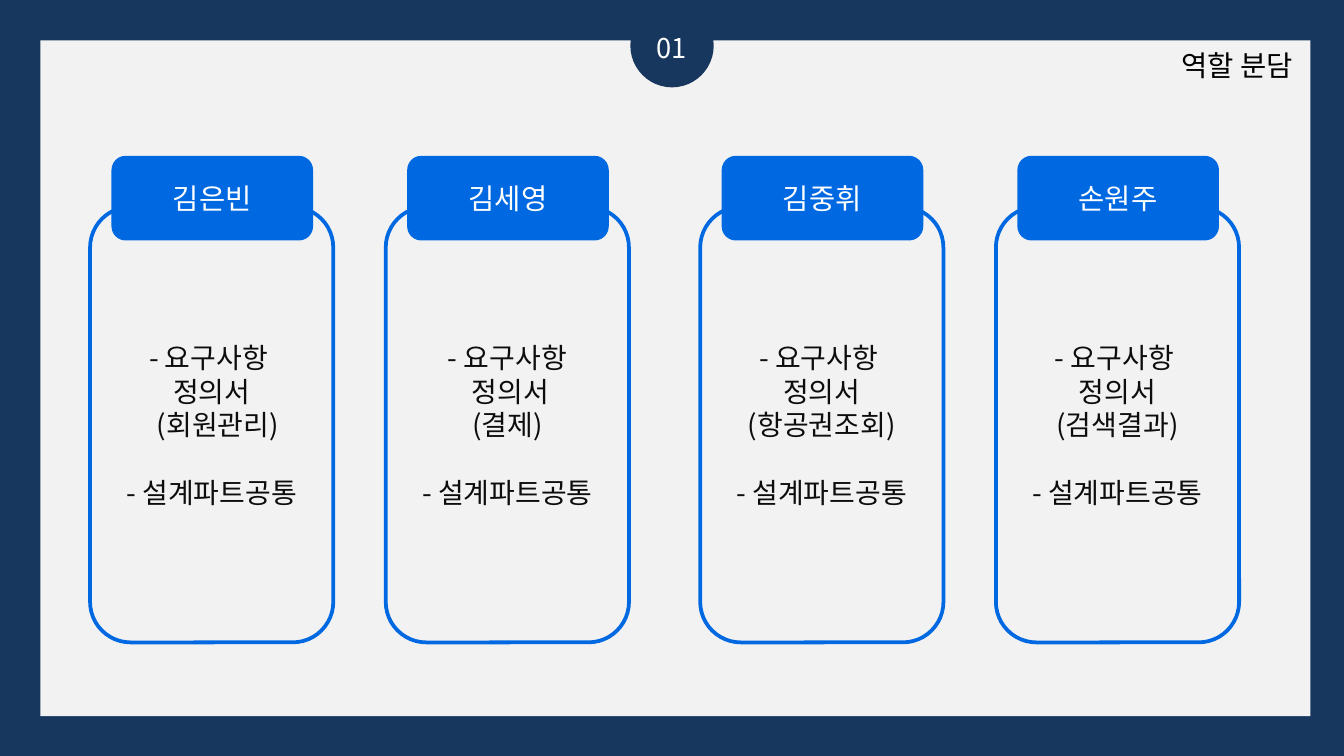
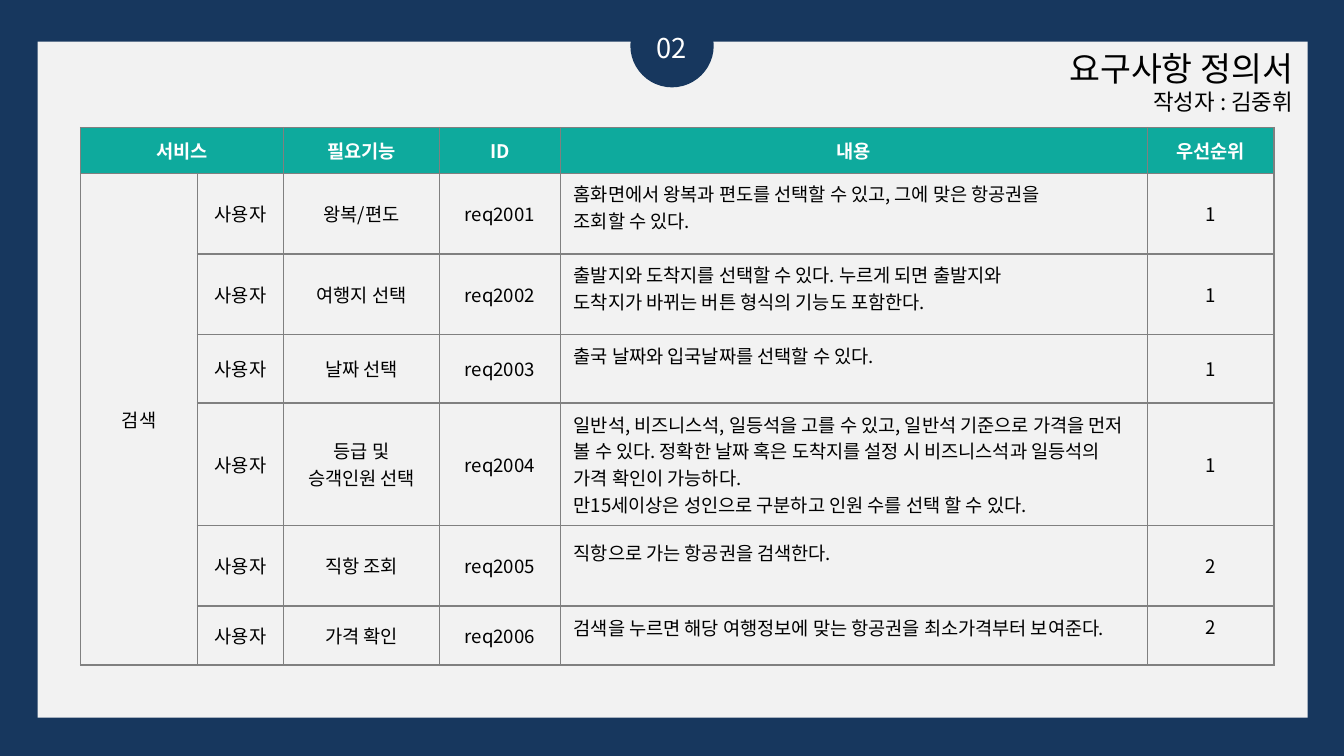
from pptx import Presentation
from pptx.dml.color import RGBColor
from pptx.enum.shapes import MSO_SHAPE
from pptx.enum.text import MSO_ANCHOR, MSO_AUTO_SIZE, PP_ALIGN
from pptx.oxml import parse_xml
from pptx.oxml.ns import nsdecls, qn
from pptx.util import Inches, Pt

FONT = "Noto Sans CJK KR"
NAVY, PAPER, BLUE, TEAL = "17375E", "F2F2F2", "0069E2", "0EAA9D"
WHITE, BLACK, INK, GRAY = "FFFFFF", "000000", "0D0D0D", "808080"
CENTER, RIGHT, LEFT = PP_ALIGN.CENTER, PP_ALIGN.RIGHT, PP_ALIGN.LEFT


def write(frame, lines, color, align=CENTER, bold=False):
    """Fill a text frame with (text, size) lines, one paragraph each."""
    frame.word_wrap = True
    for index, (text, size) in enumerate(lines):
        para = frame.paragraphs[0] if index == 0 else frame.add_paragraph()
        para.text = text
        para.alignment = align
        para.font.size = Pt(size)
        para.font.name = FONT
        para.font.bold = bold
        para.font.color.rgb = RGBColor.from_string(color)
        props = para._p.pPr.find(qn("a:defRPr"))
        props.find(qn("a:latin")).addnext(
            parse_xml(f'<a:ea {nsdecls("a")} typeface="{FONT}"/>'))


def add_box(page, kind, place, fill=None, line=None):
    box = page.shapes.add_shape(kind, *[Inches(n) for n in place])
    box.shadow.inherit = False
    if fill:
        box.fill.solid()
        box.fill.fore_color.rgb = RGBColor.from_string(fill)
    else:
        box.fill.background()
    if line:
        box.line.color.rgb = RGBColor.from_string(line)
        box.line.width = Pt(2)
    else:
        box.line.fill.background()
    box.text_frame.vertical_anchor = MSO_ANCHOR.MIDDLE
    return box


deck = Presentation()
deck.slide_width = Inches(10)
deck.slide_height = deck.slide_width * 9 // 16

# Frame, number badge and title of both slides
headings = [
    ("01", (0.3, 0.3), 0.36, [("역할 분담", 15.3)]),
    ("02", (0.28, 0.31), 0.61, [("요구사항 정의서", 18), ("작성자 : 김중휘", 12)]),
]
pages = []
for number, corner, title_height, title in headings:
    page = deck.slides.add_slide(deck.slide_layouts[6])
    page.background.fill.solid()
    page.background.fill.fore_color.rgb = RGBColor.from_string(NAVY)
    add_box(page, MSO_SHAPE.RECTANGLE, (*corner, 9.45, 5.03), PAPER)
    add_box(page, MSO_SHAPE.OVAL, (4.69, 0.03, 0.62, 0.62), NAVY)
    for place, lines, color, align in [
        ((4.64, 0.18, 0.72, 0.35), [(number, 14.6)], WHITE, CENTER),
        ((7.52, 0.31, 2.2, title_height), title, BLACK, RIGHT),
    ]:
        box = page.shapes.add_textbox(*[Inches(n) for n in place])
        write(box.text_frame, lines, color, align)
        box.text_frame.auto_size = MSO_AUTO_SIZE.SHAPE_TO_FIT_TEXT
    pages.append(page)
roles_page, requirements_page = pages

# Role cards
members = [
    (0.67, "김은빈", ["- 요구사항 ", "정의서", "  (회원관리)"]),
    (2.87, "김세영", ["- 요구사항", " 정의서", "(결제)"]),
    (5.21, "김중휘", ["- 요구사항 ", "정의서", "(항공권조회)"]),
    (7.41, "손원주", ["- 요구사항 ", "정의서", "(검색결과)"]),
]
for left, _, tasks in members:
    card = add_box(roles_page, MSO_SHAPE.ROUNDED_RECTANGLE,
                   (left, 1.54, 1.81, 3.24), line=BLUE)
    write(card.text_frame, [(task, 15) for task in tasks + ["- 설계파트공통"]], INK)
    card.text_frame.paragraphs[-1].space_before = Pt(18)
for left, name, _ in members:
    tag = add_box(roles_page, MSO_SHAPE.ROUNDED_RECTANGLE,
                  (left + 0.16, 1.16, 1.5, 0.63), BLUE)
    write(tag.text_frame, [(name, 15.3)], WHITE)

# Requirements table: feature, description lines, priority, row height, space below
requirements = [
    ("왕복/편도", ["홈화면에서 왕복과 편도를 선택할 수 있고, 그에 맞은 항공권을 ",
               "조회할 수 있다."], "1", 0.6, 0.1),
    ("여행지 선택", ["출발지와 도착지를 선택할 수 있다. 누르게 되면 출발지와",
                "도착지가 바뀌는 버튼 형식의 기능도 포함한다."], "1", 0.6, 0.1),
    ("날짜 선택", ["출국 날짜와 입국날짜를 선택할 수 있다."], "1", 0.51, 0.2),
    ("등급 및 승객인원 선택",
     ["일반석, 비즈니스석, 일등석을 고를 수 있고, 일반석 기준으로 가격을 먼저 볼 수 있다. "
      "정확한 날짜 혹은 도착지를 설정 시 비즈니스석과 일등석의 가격 확인이 가능하다.",
      "만15세이상은 성인으로 구분하고 인원 수를 선택 할 수 있다."], "1", 0.91, 0),
    ("직항 조회", ["직항으로 가는 항공권을 검색한다."], "2", 0.6, 0.2),
    ("가격 확인", ["검색을 누르면 해당 여행정보에 맞는 항공권을 최소가격부터 보여준다."],
     "2", 0.44, 0.12),
]
rows = [[["서비스"], [], ["필요기능"], ["ID"], ["내용"], ["우선순위"]]]
for index, (feature, description, priority, _, _) in enumerate(requirements):
    service = ["검색"] if index == 0 else []
    rows.append([service, ["사용자"], [feature], [f"req{2001 + index}"],
                 description, [priority]])
heights = [0.34] + [item[3] for item in requirements]
widths = [0.87, 0.64, 1.16, 0.9, 4.37, 0.94]
FEATURE, DESCRIPTION = 2, 4

table = requirements_page.shapes.add_table(
    len(rows), len(widths), Inches(0.6), Inches(0.95),
    Inches(sum(widths)), Inches(sum(heights))).table
table.first_row = table.horz_banding = False
for column, width in zip(table.columns, widths):
    column.width = Inches(width)
for row, height in zip(table.rows, heights):
    row.height = Inches(height)

for r, row in enumerate(rows):
    for c, lines in enumerate(row):
        cell = table.cell(r, c)
        cell.vertical_anchor = MSO_ANCHOR.MIDDLE
        cell.margin_top = cell.margin_bottom = 0
        for side in ("lnL", "lnR", "lnT", "lnB"):
            cell._tc.get_or_add_tcPr().append(parse_xml(
                f'<a:{side} {nsdecls("a")} w="{Pt(1)}"><a:solidFill>'
                f'<a:srgbClr val="{GRAY}"/></a:solidFill></a:{side}>'))
        if r == 0:
            cell.fill.solid()
            cell.fill.fore_color.rgb = RGBColor.from_string(TEAL)
        else:
            cell.fill.background()
        if c == FEATURE:
            cell.margin_left = cell.margin_right = Inches(0.14)
        is_description = r > 0 and c == DESCRIPTION
        if is_description:
            cell.margin_bottom = Inches(requirements[r - 1][4])
        write(cell.text_frame, [(line, 10) for line in lines],
              BLACK if r else WHITE, LEFT if is_description else CENTER,
              bold=r == 0)

last_priority = table.cell(len(rows) - 1, len(widths) - 1)
last_priority.vertical_anchor = MSO_ANCHOR.TOP
last_priority.margin_top = Inches(0.05)
table.cell(0, 0).merge(table.cell(0, 1))
table.cell(1, 0).merge(table.cell(len(rows) - 1, 0))

deck.save("out.pptx")
